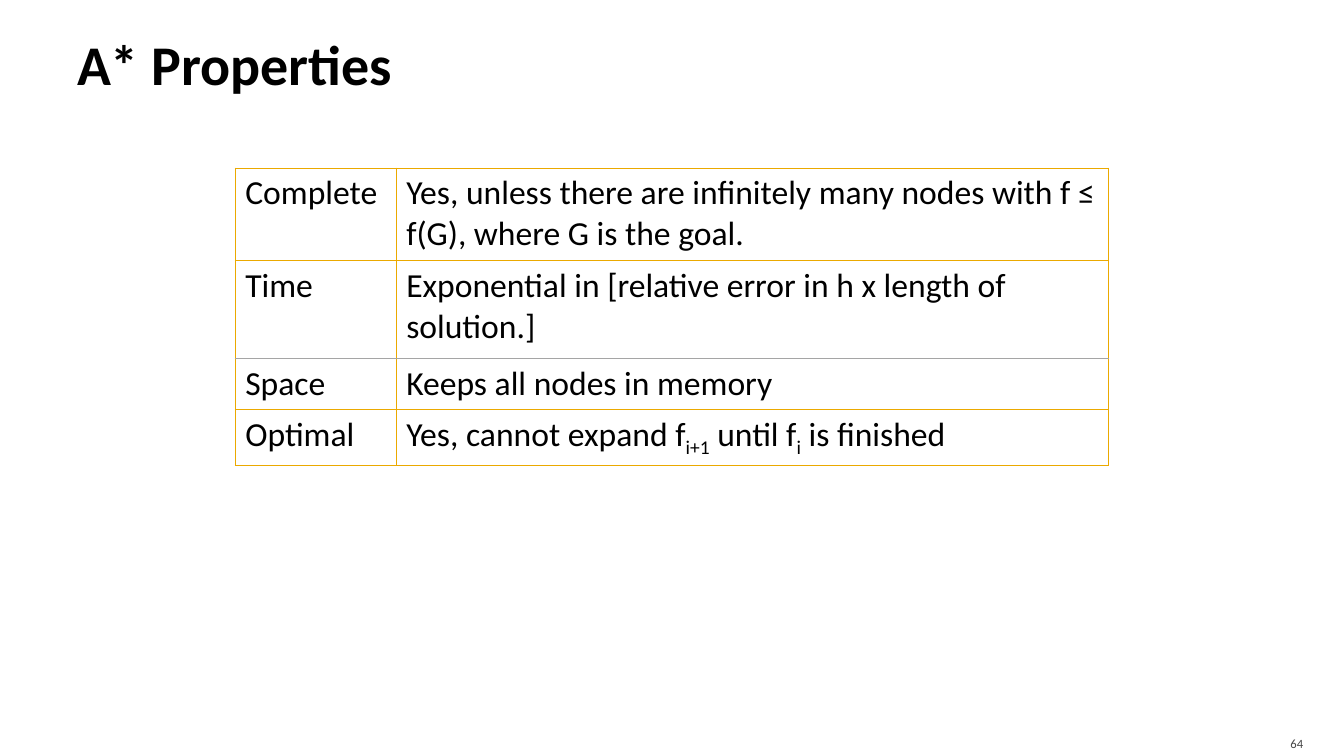
"""Build the slide on the properties of A* search."""
from dataclasses import dataclass

from lxml import etree
from pptx import Presentation
from pptx.dml.color import RGBColor
from pptx.enum.text import MSO_ANCHOR, PP_ALIGN
from pptx.oxml.ns import qn
from pptx.slide import Slide
from pptx.table import _Cell
from pptx.text.text import TextFrame
from pptx.util import Pt

LEFT, RIGHT = PP_ALIGN.LEFT, PP_ALIGN.RIGHT
MIDDLE = MSO_ANCHOR.MIDDLE
BLANK = 6
GOLD, GRAY = "EBA900", "A5A5A5"
WIDTHS = (115, 509)


@dataclass
class Label:
    text: str
    box: tuple[float, float, float, float]
    pads: tuple[float, float, float, float]
    size: float
    tint: str = "000000"
    bold: bool = False
    align: PP_ALIGN = LEFT


@dataclass
class Row:
    name: str
    note: str
    height: float
    top: str = GOLD
    base: str = GOLD


LABELS = [
    Label("A* Properties", (48, 12, 864, 66), (7.2, 3.6, 3.6, 3.6), 40, bold=True),
    Label("64", (861, 518.4, 77, 21.6), (7.2, 3.6, 7.2, 0), 9, "454545", align=RIGHT),
]
ROWS = [
    Row("Complete", "Yes, unless there are infinitely many nodes with f ≤ f(G), where G is the goal.", 66),
    Row("Time", "Exponential in [relative error in h x length of solution.]", 70, base=GRAY),
    Row("Space", "Keeps all nodes in memory", 36.5, top=GRAY),
    Row("Optimal", "Yes, cannot expand f|i+1| until f|i| is finished", 40),
]


def color(code: str) -> RGBColor:
    """Turn a hex string into a colour."""
    return RGBColor.from_string(code)


def write(frame: TextFrame, text: str, *, size: float, tint: str = "000000",
          bold: bool = False, align: PP_ALIGN = LEFT) -> None:
    """Write text, with subscripts set between bars."""
    para = frame.paragraphs[0]
    para.alignment = align
    for i, part in enumerate(text.split("|")):
        run = para.add_run()
        run.text = part
        font = run.font
        font.name, font.size, font.bold = "Calibri", Pt(size), bold
        font.color.rgb = color(tint)
        if i % 2:
            run._r.get_or_add_rPr().set("baseline", "-25000")


def add_label(slide: Slide, label: Label) -> None:
    """Add a text box."""
    frame = slide.shapes.add_textbox(*map(Pt, label.box)).text_frame
    frame.word_wrap = True
    frame.vertical_anchor = MIDDLE
    (frame.margin_left, frame.margin_top,
     frame.margin_right, frame.margin_bottom) = map(Pt, label.pads)
    write(frame, label.text, size=label.size, tint=label.tint,
          bold=label.bold, align=label.align)


def edge(cell: _Cell, top: str, base: str) -> None:
    """Draw the four borders of a cell."""
    props = cell._tc.get_or_add_tcPr()
    for side, tint in zip("LRTB", (GOLD, GOLD, top, base)):
        line = etree.SubElement(props, qn(f"a:ln{side}"), w=str(Pt(0.5)))
        fill = etree.SubElement(line, qn("a:solidFill"))
        etree.SubElement(fill, qn("a:srgbClr"), val=tint)


def add_grid(slide: Slide, rows: list[Row]) -> None:
    """Add the table of properties."""
    high = sum(row.height for row in rows)
    grid = slide.shapes.add_table(len(rows), len(WIDTHS), Pt(168), Pt(120),
                                  Pt(sum(WIDTHS)), Pt(high)).table
    grid.first_row = grid.horz_banding = False
    for col, width in zip(grid.columns, WIDTHS):
        col.width = Pt(width)
    for line, row in zip(grid.rows, rows):
        line.height = Pt(row.height)
        for cell, text in zip(line.cells, (row.name, row.note)):
            edge(cell, row.top, row.base)
            cell.fill.background()
            write(cell.text_frame, text, size=24)


def main() -> None:
    """Build and save the deck."""
    deck = Presentation()
    deck.slide_width, deck.slide_height = Pt(960), Pt(540)
    slide = deck.slides.add_slide(deck.slide_layouts[BLANK])
    for label in LABELS:
        add_label(slide, label)
    add_grid(slide, ROWS)
    deck.save("out.pptx")


if __name__ == "__main__":
    main()
